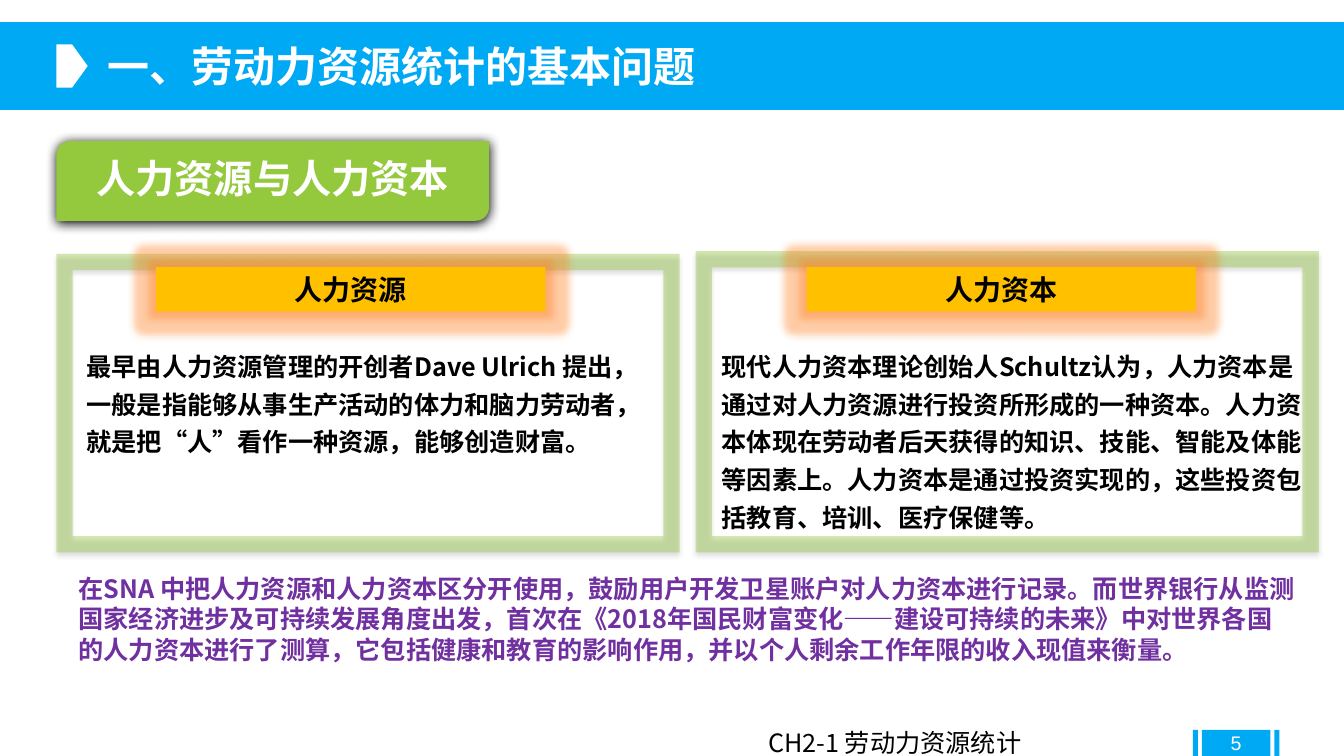
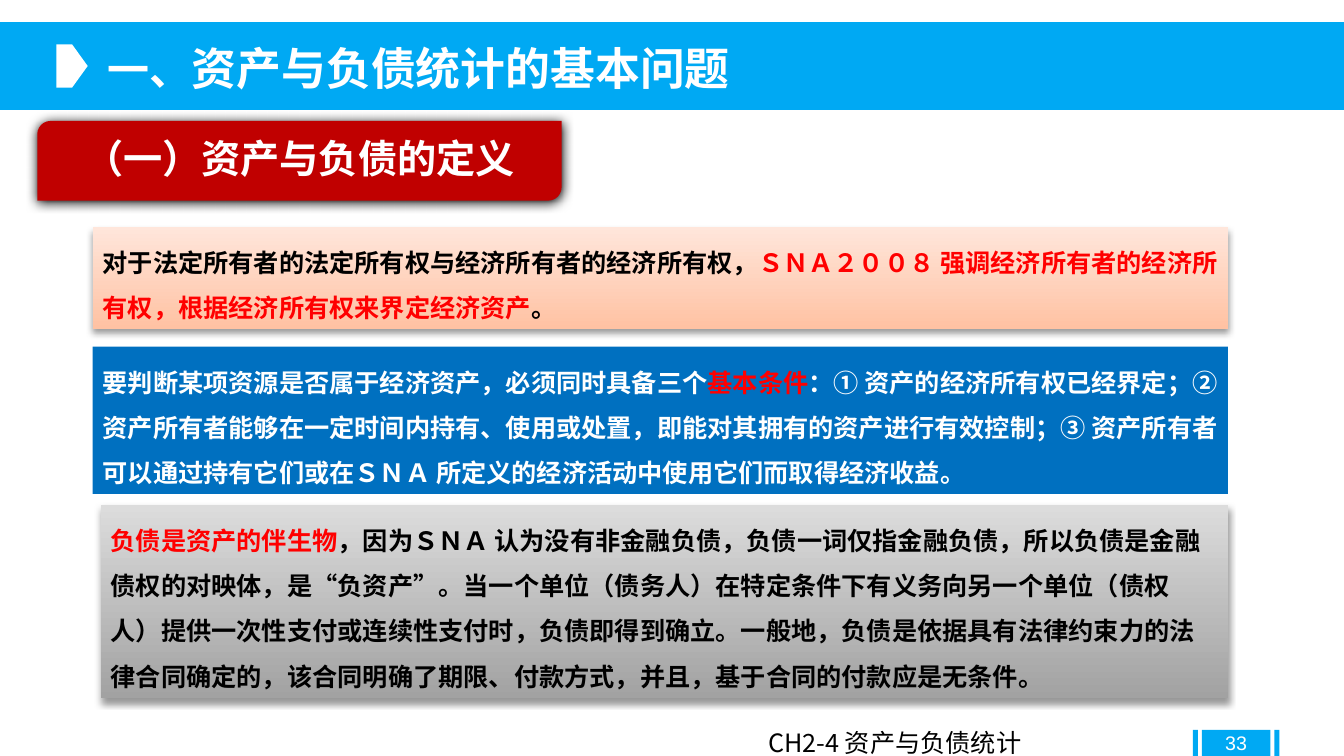
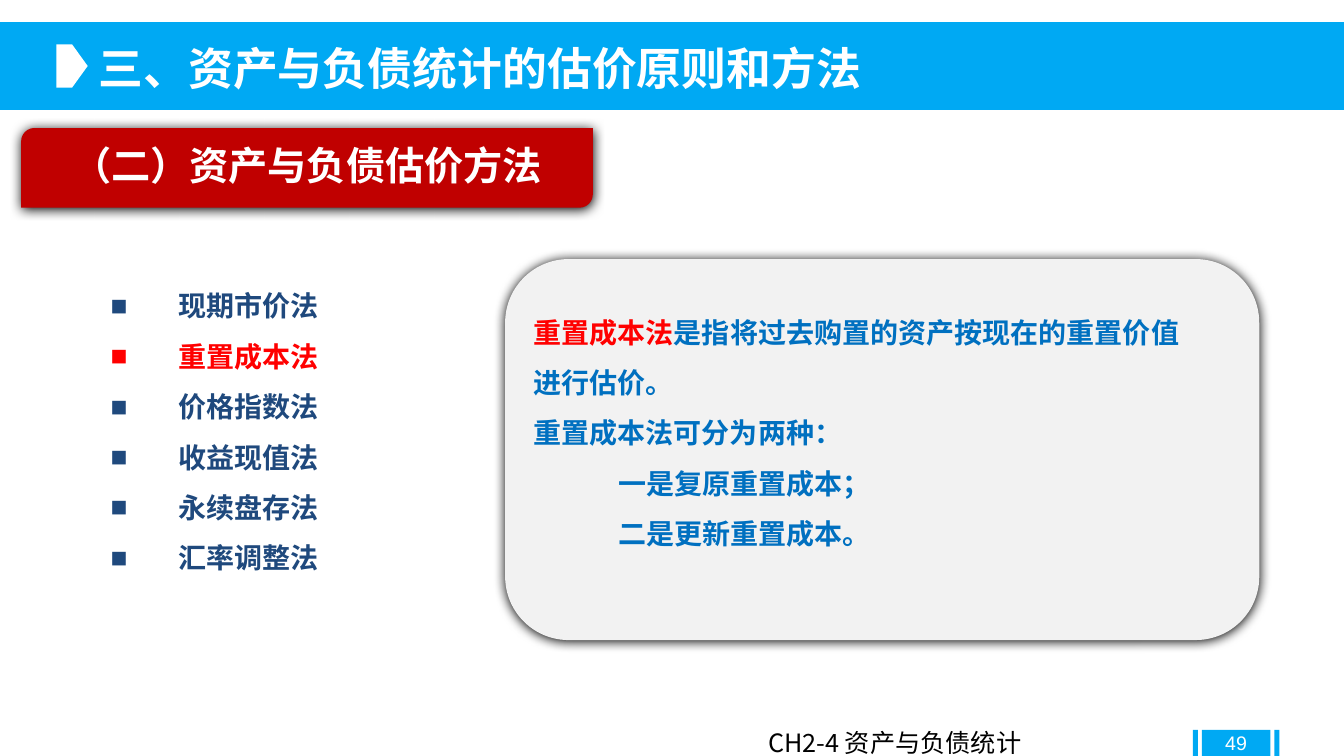
import pptx
import pptx.util
import pptx.dml.color
import pptx.enum.shapes
import pptx.enum.text
import pptx.oxml
import pptx.oxml.ns

Inches, Pt = pptx.util.Inches, pptx.util.Pt
SHAPE = pptx.enum.shapes.MSO_SHAPE
ALIGN = pptx.enum.text.PP_ALIGN
ANCHOR = pptx.enum.text.MSO_ANCHOR
qn = pptx.oxml.ns.qn

COLORS = {
    "band": "00A9F3", "white": "FFFFFF", "black": "000000",
    "green": "94C93D", "crimson": "C00000", "amber": "FFC000", "glow": "FF8021",
    "purple": "7030A0", "red": "FF0000", "blue": "0070C0", "navy": "1F497D",
    "panel": "F2F2F2", "peach_deep": "FFC2A3", "peach_pale": "FFE6DB",
    "gray_deep": "A2A2A2", "gray_pale": "DCDCDC",
}
CJK = "Noto Sans CJK SC"
# Shadows: opacity in percent, blur and distance in points
HEAVY_SHADOW = (100, 8.5, 1)
CARD_SHADOW = (32, 3.5, 2.2)
BLOCK_SHADOW = (40, 5.2, 3)


def rgb(name):
    return pptx.dml.color.RGBColor.from_string(COLORS[name])


def add_xml(parent, tag, content="", **attributes):
    listed = " ".join(f'{key}="{value}"' for key, value in attributes.items())
    parent.append(pptx.oxml.parse_xml(
        f'<a:{tag} {pptx.oxml.ns.nsdecls("a")} {listed}>{content}</a:{tag}>'))


def color_xml(name, opacity):
    return (f'<a:srgbClr val="{COLORS[name]}">'
            f'<a:alpha val="{opacity * 1000}"/></a:srgbClr>')


def add_block(slide, kind, box, fill, shadow=None, glow=None):
    """Borderless shape; a pair of colours gives a gradient from bottom to top."""
    block = slide.shapes.add_shape(kind, *map(Inches, box))
    block.shadow.inherit = False
    block.line.fill.background()
    if isinstance(fill, tuple):
        block.fill.gradient()
        block.fill.gradient_angle = 90
        for stop, name in zip(block.fill.gradient_stops, fill):
            stop.color.rgb = rgb(name)
    else:
        block.fill.solid()
        block.fill.fore_color.rgb = rgb(fill)
    effects = block._element.spPr.find(qn("a:effectLst"))
    if glow:
        add_xml(effects, "glow", color_xml(glow, 40), rad=Pt(11))
    if shadow:
        opacity, blur, distance = shadow
        add_xml(effects, "outerShdw", color_xml("black", opacity), blurRad=Pt(blur),
                dist=Pt(distance), dir=5400000, rotWithShape=0)
    return block


def write(shape, paragraphs, size, color, bold=True, font=CJK, align=ALIGN.LEFT,
          spacing=None, anchor=ANCHOR.TOP, bullet=None):
    """Each paragraph is a list of runs: (text, own colour, own size)."""
    frame = shape.text_frame
    frame.word_wrap = True
    frame.vertical_anchor = anchor
    for number, runs in enumerate(paragraphs):
        paragraph = frame.paragraphs[0] if number == 0 else frame.add_paragraph()
        paragraph.alignment = align
        if spacing:
            paragraph.line_spacing = spacing
        if bullet:
            properties = paragraph._p.get_or_add_pPr()
            properties.set("marL", str(Inches(0.67)))
            properties.set("indent", str(-Inches(0.67)))
            add_xml(properties, "buFont", typeface="Arial")
            add_xml(properties, "buChar", char=bullet)
        paragraph.font.name = font
        paragraph.font.size = Pt(size)
        paragraph.font.bold = bold
        paragraph.font.color.rgb = rgb(color)
        add_xml(paragraph.font._element, "ea", typeface=font)
        for text, *own in runs:
            run = paragraph.add_run()
            run.text = text
            if own and own[0]:
                run.font.color.rgb = rgb(own[0])
            if len(own) > 1:
                run.font.size = Pt(own[1])
    return frame


def add_text(slide, box, paragraphs, size, color, **style):
    return write(slide.shapes.add_textbox(*map(Inches, box)),
                 paragraphs, size, color, **style)


def add_page(deck, title, chapter, number, title_left=0.97, title_size=32):
    """Slide with the title band and the footer."""
    slide = deck.slides.add_slide(deck.slide_layouts[6])
    # Title band
    add_block(slide, SHAPE.RECTANGLE, (0, 0.22, 13.33, 0.87), "band")
    add_block(slide, SHAPE.PENTAGON, (0.56, 0.44, 0.31, 0.43), "white")
    add_text(slide, (title_left, 0.35, 12, 0.7), [title], title_size, "white")
    # Footer
    for left, width in ((11.83, 0.05), (11.92, 0.68), (12.64, 0.05)):
        add_block(slide, SHAPE.RECTANGLE, (left, 7.24, width, 0.26), "band")
    add_text(slide, (7.52, 7.17, 4.29, 0.4), [[(chapter,)]], 18, "black", bold=False)
    add_text(slide, (11.92, 7.17, 0.68, 0.4), [[(number,)]], 14, "white", bold=False,
             font="Arial", align=ALIGN.CENTER, anchor=ANCHOR.MIDDLE)
    return slide


def add_heading(slide, left, top, width, text, fill):
    heading = add_block(slide, SHAPE.ROUND_2_DIAG_RECTANGLE, (left, top, width, 0.79),
                        fill, HEAVY_SHADOW)
    frame = write(heading, [[(text,)]], 28, "white", align=ALIGN.CENTER,
                  spacing=0.9, anchor=ANCHOR.MIDDLE)
    frame.margin_left = frame.margin_right = Inches(0.31)
    frame.margin_top = frame.margin_bottom = Inches(0.12)


def add_concept_card(slide, box, label_left, text_left, text_width, label, text):
    """Green frame with a glowing label; the offsets run from the left edge."""
    left, top, width, height = box
    border = add_block(slide, SHAPE.FRAME, box, "green", CARD_SHADOW)
    border.adjustments[0] = 0.054
    fill_color = border._element.spPr.find(qn("a:solidFill"))[0]
    add_xml(fill_color, "alpha", val=40000)
    add_text(slide, (left + text_left, 3.36, text_width, 1.99), [[(text,)]],
             18, "black", spacing=1.25)
    plate = add_block(slide, SHAPE.RECTANGLE, (left + label_left, 2.65, 3.86, 0.44),
                      "amber", glow="glow")
    write(plate, [[(label,)]], 20, "black", align=ALIGN.CENTER)


def build_human_capital(deck):
    slide = add_page(deck, [("一、劳动力资源统计的基本问题",)],
                     "CH2-1 劳动力资源统计", "5", title_size=30)
    add_heading(slide, 0.56, 1.4, 4.29, "人力资源与人力资本", "green")
    add_concept_card(
        slide, (0.56, 2.52, 6.18, 2.96), 0.99, 0.2, 5.83, "人力资源",
        "最早由人力资源管理的开创者Dave Ulrich 提出，一般是指能够从事生产活动的"
        "体力和脑力劳动者，就是把“人”看作一种资源，能够创造财富。")
    add_concept_card(
        slide, (6.9, 2.49, 6.18, 2.99), 1.1, 0.16, 5.98, "人力资本",
        "现代人力资本理论创始人Schultz认为，人力资本是通过对人力资源进行投资所形成的"
        "一种资本。人力资本体现在劳动者后天获得的知识、技能、智能及体能等因素上。"
        "人力资本是通过投资实现的，这些投资包括教育、培训、医疗保健等。")
    # Conclusion
    add_text(slide, (0.68, 5.64, 12.28, 1.01), [[(
        "在SNA 中把人力资源和人力资本区分开使用，鼓励用户开发卫星账户对人力资本进行记录。"
        "而世界银行从监测国家经济进步及可持续发展角度出发，首次在《2018年国民财富变化——"
        "建设可持续的未来》中对世界各国的人力资本进行了测算，它包括健康和教育的影响作用，"
        "并以个人剩余工作年限的收入现值来衡量。",)]], 18, "purple")


def build_definitions(deck):
    slide = add_page(deck, [("一、", None, 30), ("资产与负债统计的基本问题",)],
                     "CH2-4 资产与负债统计", "33")
    add_heading(slide, 0.37, 1.2, 5.2, "（一）资产与负债的定义", "crimson")
    # Ownership, conditions and liabilities
    statements = [
        ((0.92, 2.25, 11.26, 1.01), ("peach_deep", "peach_pale"), BLOCK_SHADOW, "black", [
            ("对于法定所有者的法定所有权与经济所有者的经济所有权，",),
            ("ＳＮＡ２００８ 强调经济所有者的经济所有权，根据经济所有权来界定经济资产", "red"),
            ("。",)]),
        ((0.92, 3.44, 11.26, 1.46), "blue", None, "white", [
            ("要判断某项资源是否属于经济资产，必须同时具备三个",),
            ("基本条件", "red"),
            ("：① 资产的经济所有权已经界定；② 资产所有者能够在一定时间内持有、使用或处置，"
             "即能对其拥有的资产进行有效控制；③ 资产所有者可以通过持有它们或在ＳＮＡ "
             "所定义的经济活动中使用它们而取得经济收益。",)]),
        ((1, 5.01, 11.18, 1.92), ("gray_deep", "gray_pale"), BLOCK_SHADOW, "black", [
            ("负债是资产的伴生物", "red"),
            ("，因为ＳＮＡ 认为没有非金融负债，负债一词仅指金融负债，所以负债是金融债权的对映体，"
             "是“负资产”。当一个单位（债务人）在特定条件下有义务向另一个单位（债权人）提供"
             "一次性支付或连续性支付时，负债即得到确立。一般地，负债是依据具有法律约束力的"
             "法律合同确定的，该合同明确了期限、付款方式，并且，基于合同的付款应是无条件。",)]),
    ]
    for box, fill, shadow, color, runs in statements:
        statement = add_block(slide, SHAPE.RECTANGLE, box, fill, shadow)
        write(statement, [runs], 18, color, spacing=1.5)


def build_valuation(deck):
    slide = add_page(deck, [("三、资产与负债统计的估价原则和方法",)],
                     "CH2-4 资产与负债统计", "49", title_left=0.88)
    add_heading(slide, 0.21, 1.27, 5.67, "（二）资产与负债估价方法", "crimson")
    # List of methods, the current one in red
    current = "重置成本法"
    methods = ["现期市价法", current, "价格指数法", "收益现值法", "永续盘存法", "汇率调整法"]
    add_text(slide, (1, 2.65, 3.8, 3.13),
             [[(method, "red" if method == current else None)] for method in methods],
             20, "navy", spacing=1.5, bullet="■")
    # Explanation of the current method
    panel = add_block(slide, SHAPE.ROUNDED_RECTANGLE, (5.01, 2.57, 7.48, 3.78),
                      "panel", HEAVY_SHADOW)
    explanation = write(panel, [
        [(current, "red"), ("是指将过去购置的资产按现在的重置价值",)],
        [("进行估价。",)],
        [("重置成本法可分为两种：",)],
        [("一是复原重置成本；",)],
        [("二是更新重置成本。",)],
    ], 20, "blue", spacing=1.5, anchor=ANCHOR.MIDDLE)
    explanation.margin_bottom = Inches(0.55)
    for kind in explanation.paragraphs[3:]:
        kind._p.get_or_add_pPr().set("indent", str(Inches(0.84)))


def main():
    deck = pptx.Presentation()
    deck.slide_width, deck.slide_height = Inches(13.33), Inches(7.5)
    build_human_capital(deck)
    build_definitions(deck)
    build_valuation(deck)
    deck.save("out.pptx")


if __name__ == "__main__":
    main()
